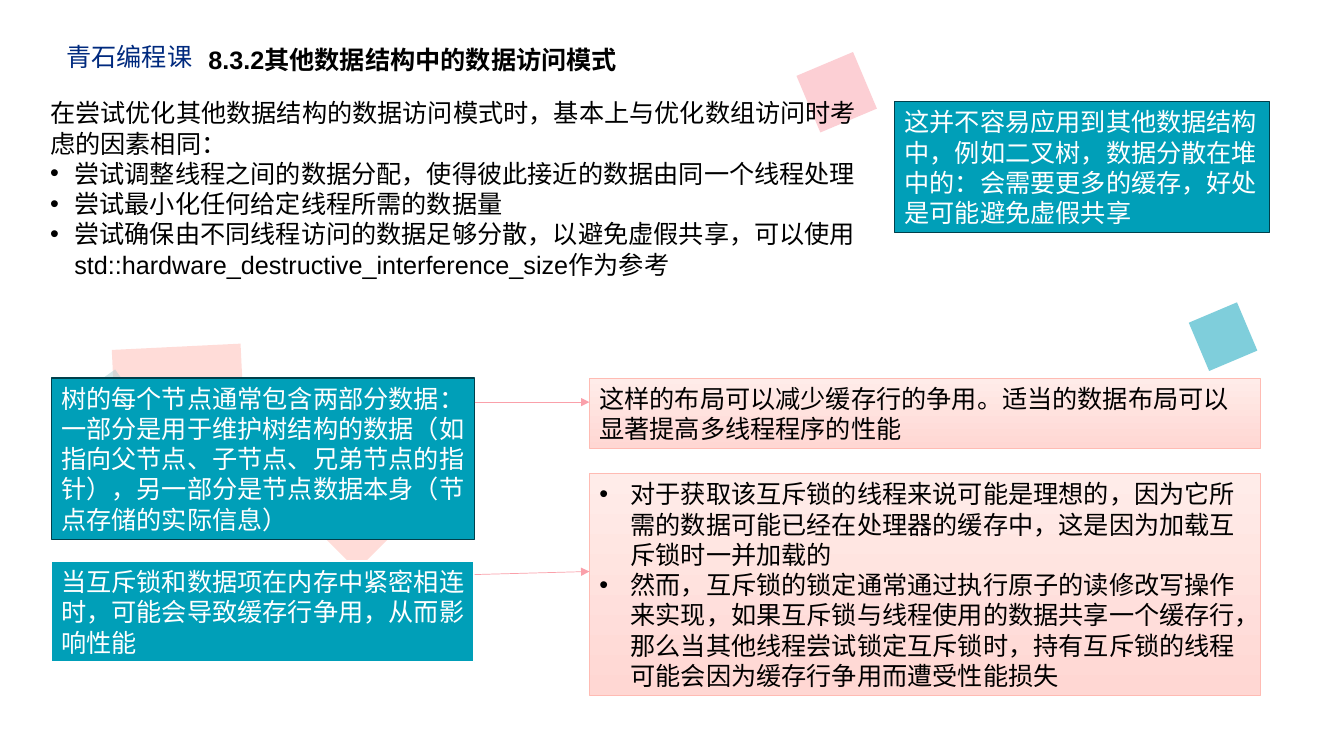
from pptx import Presentation, util as u
from pptx.dml.color import RGBColor
from pptx.enum import shapes, text
from pptx.oxml.ns import qn
from lxml import etree

PX = 9144  # one px is a hundredth of an inch
COLORS = {
    "white": "FFFFFF", "black": "000000", "navy": "002A7E",
    "teal": "009FB8", "dark teal": "00404C", "mist": "AACED2",
    "rose": "FAA0AA", "peach": "FFBBB3", "blush": "FFECE9", "pale peach": "FFD7D3",
}
RGB = {name: RGBColor.from_string(value) for name, value in COLORS.items()}


def write(shape, paragraphs, font, color, bold=False, indent=0):
    """Fill a shape with paragraphs; those that start with • become bullets."""
    frame = shape.text_frame
    layout = {"word_wrap": True, "vertical_anchor": text.MSO_ANCHOR.TOP,
              "margin_left": 10 * PX, "margin_right": 10 * PX,
              "margin_top": 5 * PX, "margin_bottom": 5 * PX}
    for key, value in layout.items():
        setattr(frame, key, value)
    for i, words in enumerate(paragraphs):
        paragraph = frame.paragraphs[0] if i == 0 else frame.add_paragraph()
        paragraph.alignment = text.PP_ALIGN.LEFT
        paragraph.line_spacing = u.Pt(21.6)
        if words.startswith("•"):
            props = paragraph._p.get_or_add_pPr()
            props.set("marL", str(indent * PX))
            props.set("indent", str(-indent * PX))
            bullet_font = etree.SubElement(props, qn("a:buFont"))
            bullet_font.set("typeface", "Arial")
            etree.SubElement(props, qn("a:buChar")).set("char", "•")
        run = paragraph.add_run()
        run.text = words.lstrip("•")
        for key, value in {"name": font, "size": u.Pt(18), "bold": bold}.items():
            setattr(run.font, key, value)
        run.font.color.rgb = RGB[color]


def add_rect(left, top, width, height):
    rect = slide.shapes.add_shape(
        shapes.MSO_SHAPE.RECTANGLE, left * PX, top * PX, width * PX, height * PX)
    rect.shadow.inherit = False
    return rect


prs = Presentation()
prs.slide_width, prs.slide_height = 1334 * PX, 750 * PX
slide = prs.slides.add_slide(prs.slide_layouts[6])

# Half-transparent tilted squares behind the text
for left, top, side, angle, color in [
    (114, 344, 128, 357.2, "peach"),
    (324, 492, 61, 315, "peach"),
    (94, 373, 33, 324.4, "mist"),
    (800, 61, 61, 337.1, "rose"),
    (1188, 308, 52, 337.1, "teal"),
]:
    square = add_rect(left, top, side, side)
    square.rotation = angle
    square.line.fill.background()
    square.fill.solid()
    square.fill.fore_color.rgb = RGB[color]
    tint = square.fill._xPr.find(qn("a:solidFill"))[0]
    etree.SubElement(tint, qn("a:alpha")).set("val", "50000")

# Header and introduction
for box, paragraphs, font, color, bold in [
    ((56, 36, 149, 40), ["青石编程课"], "Noto Sans CJK JP", "navy", False),
    ((197, 39, 666, 40), ["8.3.2其他数据结构中的数据访问模式"], "Arial", "black", True),
    ((40, 92, 833, 190), [
        "在尝试优化其他数据结构的数据访问模式时，基本上与优化数组访问时考虑的因素相同：",
        "•尝试调整线程之间的数据分配，使得彼此接近的数据由同一个线程处理",
        "•尝试最小化任何给定线程所需的数据量",
        "•尝试确保由不同线程访问的数据足够分散，以避免虚假共享，可以使用"
        "std::hardware_destructive_interference_size作为参考",
    ], "Arial", "black", False),
]:
    write(slide.shapes.add_textbox(*(n * PX for n in box)), paragraphs, font, color, bold, 24)

# Teal boxes state the situation
for box, border, weight, words in [
    ((888, 101, 372, 130), "dark teal", 1,
     "这并不容易应用到其他数据结构中，例如二叉树，数据分散在堆中的：会需要更多的缓存，好处是可能避免虚假共享"),
    ((51, 375, 420, 160), "dark teal", 1,
     "树的每个节点通常包含两部分数据：一部分是用于维护树结构的数据（如指向父节点、子节点、兄弟节点的指针），"
     "另一部分是节点数据本身（节点存储的实际信息）"),
    ((51, 557, 420, 100), "white", 1.5,
     "当互斥锁和数据项在内存中紧密相连时，可能会导致缓存行争用，从而影响性能"),
]:
    situation = add_rect(*box)
    situation.fill.solid()
    situation.fill.fore_color.rgb = RGB["teal"]
    situation.line.color.rgb = RGB[border]
    situation.line.width = u.Pt(weight)
    write(situation, [words], "League Spartan", "white")

# Pink boxes state the effect, each reached by an arrow
for top, height, arrow_start, arrow_end, paragraphs in [
    (375, 70, 399, 399, ["这样的布局可以减少缓存行的争用。适当的数据布局可以显著提高多线程程序的性能"]),
    (470, 220, 570, 567, [
        "•对于获取该互斥锁的线程来说可能是理想的，因为它所需的数据可能已经在处理器的缓存中，"
        "这是因为加载互斥锁时一并加载的",
        "•然而，互斥锁的锁定通常通过执行原子的读修改写操作来实现，如果互斥锁与线程使用的数据共享一个缓存行，"
        "那么当其他线程尝试锁定互斥锁时，持有互斥锁的线程可能会因为缓存行争用而遭受性能损失",
    ]),
]:
    effect = add_rect(585, top, 666, height)
    effect.fill.gradient()
    effect.fill.gradient_angle = 270
    for stop, position, color in zip(effect.fill.gradient_stops, (0, 1), ("blush", "pale peach")):
        stop.position = position
        stop.color.rgb = RGB[color]
    effect.line.color.rgb = RGB["peach"]
    effect.line.width = u.Pt(0.5)
    write(effect, paragraphs, "League Spartan", "black", indent=31)

    arrow = slide.shapes.add_connector(
        shapes.MSO_CONNECTOR.STRAIGHT, 471 * PX, arrow_start * PX, 585 * PX, arrow_end * PX)
    arrow.line.color.rgb = RGB["rose"]
    arrow.line.width = u.Pt(0.5)
    etree.SubElement(arrow.line._get_or_add_ln(), qn("a:tailEnd")).set("type", "triangle")
    etree.SubElement(arrow._element.spPr, qn("a:effectLst"))

prs.save("out.pptx")
